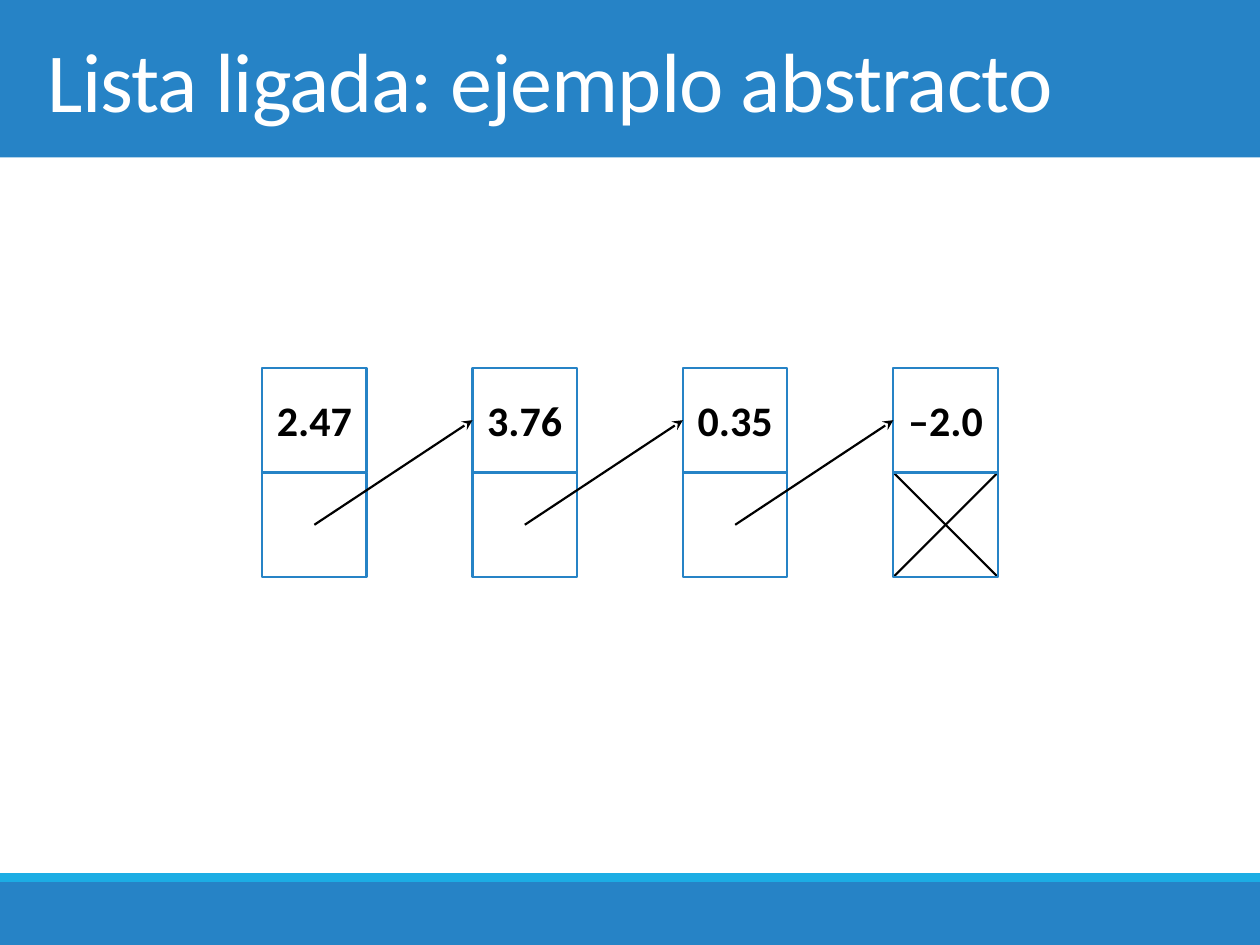
from pptx import Presentation
from pptx import util as u
from pptx.dml.color import RGBColor
from pptx.enum import shapes, text
from pptx.oxml.ns import qn
from lxml import etree

COLORS = {"blue": "2683C6", "cyan": "1CADE4", "white": "FFFFFF", "black": "000000"}
CELL = 0.83
STEP = 1.67
LEFT, TOP = 2.08, 2.92
VALUES = ["2.47", "3.76", "0.35", "–2.0"]

deck = Presentation()
deck.slide_width, deck.slide_height = u.Inches(10), u.Inches(7.5)
page = deck.slides.add_slide(deck.slide_layouts[5])


def write(box, words, size, color, bold=False, align=text.PP_ALIGN.CENTER, inset=0.0):
    frame = box.text_frame
    frame.word_wrap = True
    frame.auto_size = text.MSO_AUTO_SIZE.NONE
    frame.vertical_anchor = text.MSO_ANCHOR.MIDDLE
    frame.margin_left = frame.margin_right = u.Inches(inset)
    para = frame.paragraphs[0]
    para.alignment = align
    span = para.add_run()
    span.text = words
    span.font.name = "Calibri"
    span.font.size = u.Pt(size)
    span.font.bold = bold
    span.font.color.rgb = RGBColor.from_string(COLORS[color])
    return span


def connect(x1, y1, x2, y2, arrow=False):
    line = page.shapes.add_connector(
        shapes.MSO_CONNECTOR.STRAIGHT, *map(u.Inches, (x1, y1, x2, y2)))
    line.line.color.rgb = RGBColor.from_string(COLORS["black"])
    line.line.width = u.Pt(1.25)
    if arrow:
        etree.SubElement(line.line._get_or_add_ln(), qn("a:tailEnd"), type="stealth")
    etree.SubElement(line._element.spPr, qn("a:effectLst"))


for top, height, color in [(0, 1.25, "blue"), (7, 0.5, "blue"), (6.93, 0.07, "cyan")]:
    band = page.shapes.add_shape(
        shapes.MSO_SHAPE.RECTANGLE, 0, u.Inches(top), deck.slide_width, u.Inches(height))
    band.shadow.inherit = False
    band.fill.solid()
    band.fill.fore_color.rgb = RGBColor.from_string(COLORS[color])
    band.line.fill.background()

title = page.shapes.title
title.left, title.top, title.width, title.height = map(u.Inches, (0.28, 0, 9.45, 1.25))
span = write(title, "Lista ligada: ejemplo abstracto", 48, "white",
             align=text.PP_ALIGN.LEFT, inset=0.1)
span.font._element.set("spc", "-50")
title._element.getparent().append(title._element)

middle = TOP + CELL
bottom = middle + CELL
last = LEFT + STEP * (len(VALUES) - 1)
connect(last, middle, last + CELL, bottom)
connect(last, bottom, last + CELL, middle)

for column, value in enumerate(VALUES):
    for top, words in [(TOP, value), (middle, "")]:
        cell = page.shapes.add_shape(
            shapes.MSO_SHAPE.RECTANGLE,
            *map(u.Inches, (LEFT + column * STEP, top, CELL, CELL)))
        cell.shadow.inherit = False
        cell.line.color.rgb = RGBColor.from_string(COLORS["blue"])
        cell.line.width = u.Pt(1.25)
        if words:
            cell.fill.solid()
            cell.fill.fore_color.rgb = RGBColor.from_string(COLORS["white"])
            write(cell, words, 24, "black", bold=True)
        else:
            cell.fill.background()

for column in range(len(VALUES) - 1):
    left = LEFT + column * STEP
    connect(left + CELL / 2, middle + CELL / 2, left + STEP, TOP + CELL / 2, arrow=True)

deck.save("out.pptx")
